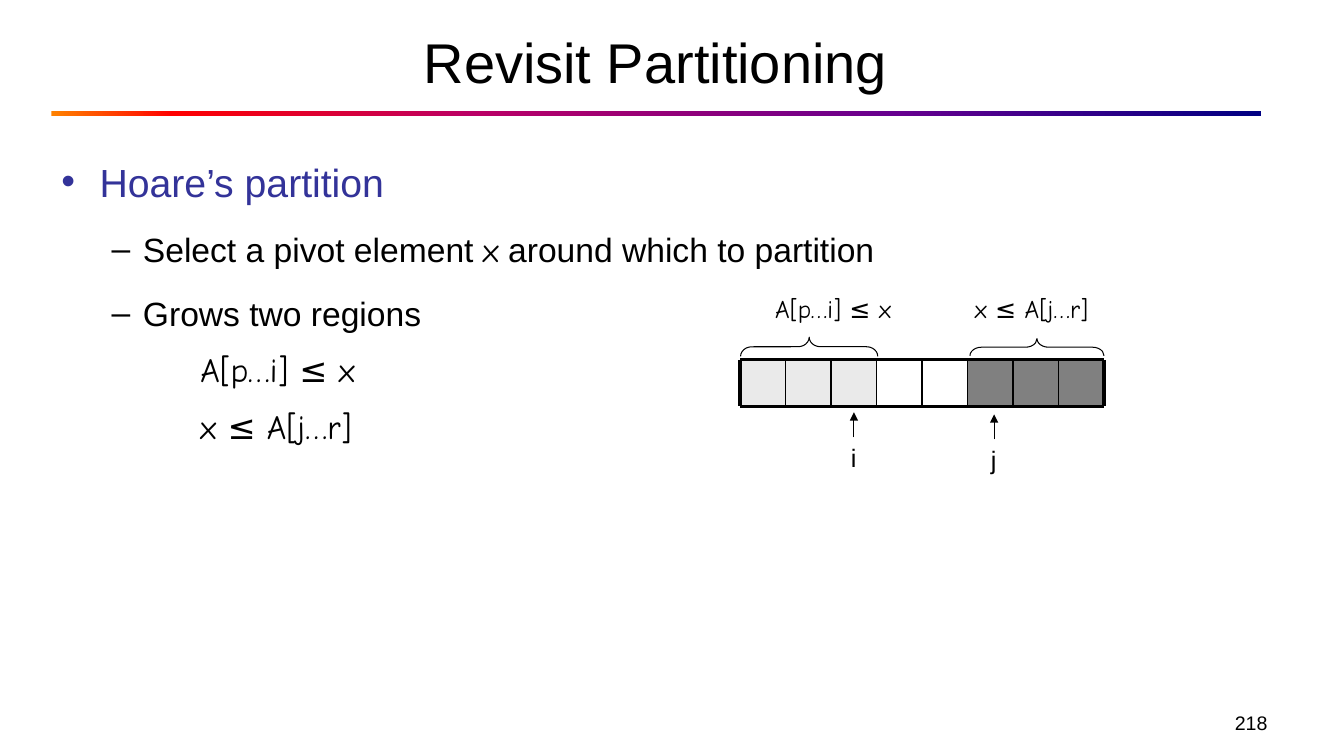
from lxml import etree
from pptx import Presentation
from pptx.dml.color import RGBColor
from pptx.enum.shapes import MSO_CONNECTOR as Connector, MSO_SHAPE as Shape
from pptx.enum.text import MSO_ANCHOR as Anchor, MSO_AUTO_SIZE as AutoSize, PP_ALIGN as Align
from pptx.oxml.ns import qn
from pptx.util import Inches, Pt

BLACK = RGBColor(0x00, 0x00, 0x00)
HEADING = RGBColor(0x33, 0x33, 0x99)
LIGHT = RGBColor(0xEA, 0xEA, 0xEA)
DARK = RGBColor(0x80, 0x80, 0x80)
RULE_STOPS = [(0, RGBColor(0xFF, 0x82, 0x00)), (10, RGBColor(0xFF, 0x00, 0x00)),
              (35, RGBColor(0xBA, 0x00, 0x66)), (70, RGBColor(0x66, 0x00, 0x8F)),
              (100, RGBColor(0x00, 0x00, 0x82))]
SANS, COMIC = "Arial", "Comic Neue"


class SlideBuilder:
    def __init__(self, presentation):
        self.slide = presentation.slides.add_slide(presentation.slide_layouts[5])
        self.shapes = self.slide.shapes

    def style(self, font, size, name=SANS, color=BLACK):
        font.size, font.name, font.color.rgb = Pt(size), name, color

    def title(self, text, left, top, width, height):
        title = self.shapes.title
        title.left, title.top = Inches(left), Inches(top)
        title.width, title.height = Inches(width), Inches(height)
        title.text_frame.text = text
        title.text_frame.vertical_anchor = Anchor.MIDDLE
        paragraph = title.text_frame.paragraphs[0]
        paragraph.alignment = Align.CENTER
        self.style(paragraph.font, 40)

    def text_box(self, left, top, width, height, wrap=True):
        box = self.shapes.add_textbox(Inches(left), Inches(top), Inches(width), Inches(height))
        box.text_frame.word_wrap = wrap
        return box

    def label(self, text, left, top, width, name=SANS):
        box = self.text_box(left, top, width, 0.4, wrap=False)
        box.text_frame.auto_size = AutoSize.SHAPE_TO_FIT_TEXT
        paragraph = box.text_frame.paragraphs[0]
        paragraph.text = text
        self.style(paragraph.font, 18, name)
        return box

    def item(self, paragraph, runs, size, margin, hanging=0.0, bullet=None, color=BLACK):
        """Fill a paragraph with (text, font name) runs and an optional bullet."""
        paragraph.line_spacing = 1.4
        for text, name in runs:
            run = paragraph.add_run()
            run.text = text
            self.style(run.font, size, name, color)
        properties = paragraph._p.get_or_add_pPr()
        properties.set("marL", str(Inches(margin)))
        properties.set("indent", str(-Inches(hanging)))
        if bullet:
            paragraph.space_before = Pt(size * 0.23)
            font = etree.SubElement(properties, qn("a:buFont"))
            font.set("typeface", SANS)
            etree.SubElement(properties, qn("a:buChar")).set("char", bullet)

    def shape(self, kind, left, top, width, height):
        shape = self.shapes.add_shape(kind, Inches(left), Inches(top), Inches(width), Inches(height))
        shape.shadow.inherit = False
        return shape

    def cell(self, left, top, width, height, color):
        cell = self.shape(Shape.RECTANGLE, left, top, width, height)
        cell.fill.solid()
        cell.fill.fore_color.rgb = color
        cell.line.fill.background()

    def gradient_rule(self, left, top, width, height, stops):
        rule = self.shape(Shape.RECTANGLE, left, top, width, height)
        rule.line.fill.background()
        rule.fill.gradient()
        rule.fill.gradient_angle = 0
        stop_list = rule._element.spPr.find(qn("a:gradFill")).find(qn("a:gsLst"))
        for old_stop in list(stop_list):
            stop_list.remove(old_stop)
        for percent, color in stops:
            stop = etree.SubElement(stop_list, qn("a:gs"))
            stop.set("pos", str(percent * 1000))
            etree.SubElement(stop, qn("a:srgbClr")).set("val", str(color))

    def brace(self, left, top, width, height, curl):
        brace = self.shape(Shape.LEFT_BRACE, left, top, width, height)
        brace.rotation = 90
        brace.adjustments[0], brace.adjustments[1] = curl, 0.5
        brace.fill.background()
        brace.line.color.rgb, brace.line.width = BLACK, Pt(0.75)

    def line(self, start, end, weight, arrow=False):
        line = self.shapes.add_connector(Connector.STRAIGHT, *map(Inches, start + end))
        line.line.color.rgb, line.line.width = BLACK, Pt(weight)
        if arrow:
            etree.SubElement(line.line._get_or_add_ln(), qn("a:tailEnd")).set("type", "triangle")
        etree.SubElement(line._element.spPr, qn("a:effectLst"))
        return line

    def pointer(self, text, center, top):
        """An index name with an arrow up to the array."""
        label = self.label(text, center - 0.13, top, 0.26)
        arrow = self.line((center, top), (center, top - 0.25), 0.75, arrow=True)
        arrow.begin_connect(label, 0)


def main():
    presentation = Presentation()
    presentation.slide_width, presentation.slide_height = Inches(13.33), Inches(7.5)
    builder = SlideBuilder(presentation)

    # Title, rule and page number
    builder.gradient_rule(0.51, 1.1, 12, 0.05, RULE_STOPS)
    builder.title("Revisit Partitioning", 0.5, 0.11, 12, 0.99)
    number = builder.text_box(9.56, 7, 3.11, 0.35).text_frame.paragraphs[0]
    number.text = "218"
    number.alignment = Align.RIGHT
    builder.style(number.font, 14)

    # Body text
    left_region, right_region = "A[p…i] ≤ x", "x ≤ A[j…r]"
    frame = builder.text_box(0.51, 1.33, 12, 5.55).text_frame
    builder.item(frame.paragraphs[0], [("Hoare’s partition", SANS)], 28, 0.38, 0.38, "•", HEADING)
    pivot = [("Select a pivot element ", SANS), ("x", COMIC), (" around which to partition", SANS)]
    for runs in (pivot, [("Grows two regions", SANS)]):
        builder.item(frame.add_paragraph(), runs, 24, 0.81, 0.31, "–")
    for region in (left_region, right_region):
        builder.item(frame.add_paragraph(), [(region, COMIC)], 24, 1.38)

    # Array: three light cells, two empty, three dark
    left, top, bottom, right = 7.34, 3.57, 4.03, 10.95
    colors = [LIGHT] * 3 + [None] * 2 + [DARK] * 3
    step = (right - left) / len(colors)
    for index, color in enumerate(colors):
        if color is not None:
            builder.cell(left + index * step, top, step, bottom - top, color)
    for y in (top, bottom):
        builder.line((left, y), (right, y), 2.25)
    for index in range(len(colors) + 1):
        x = left + index * step
        builder.line((x, top), (x, bottom), 2.25 if index in (0, len(colors)) else 1)

    # Region braces and labels
    builder.brace(7.93, 2.76, 0.19, 1.36, 0.59)
    builder.brace(10.2, 2.78, 0.17, 1.33, 0.67)
    builder.label(left_region, 7.59, 2.86, 1.45, COMIC)
    builder.label(right_region, 9.57, 2.86, 1.39, COMIC)

    # Index pointers
    builder.pointer("i", 8.47, 4.34)
    builder.pointer("j", 9.86, 4.36)

    presentation.save("out.pptx")


if __name__ == "__main__":
    main()
